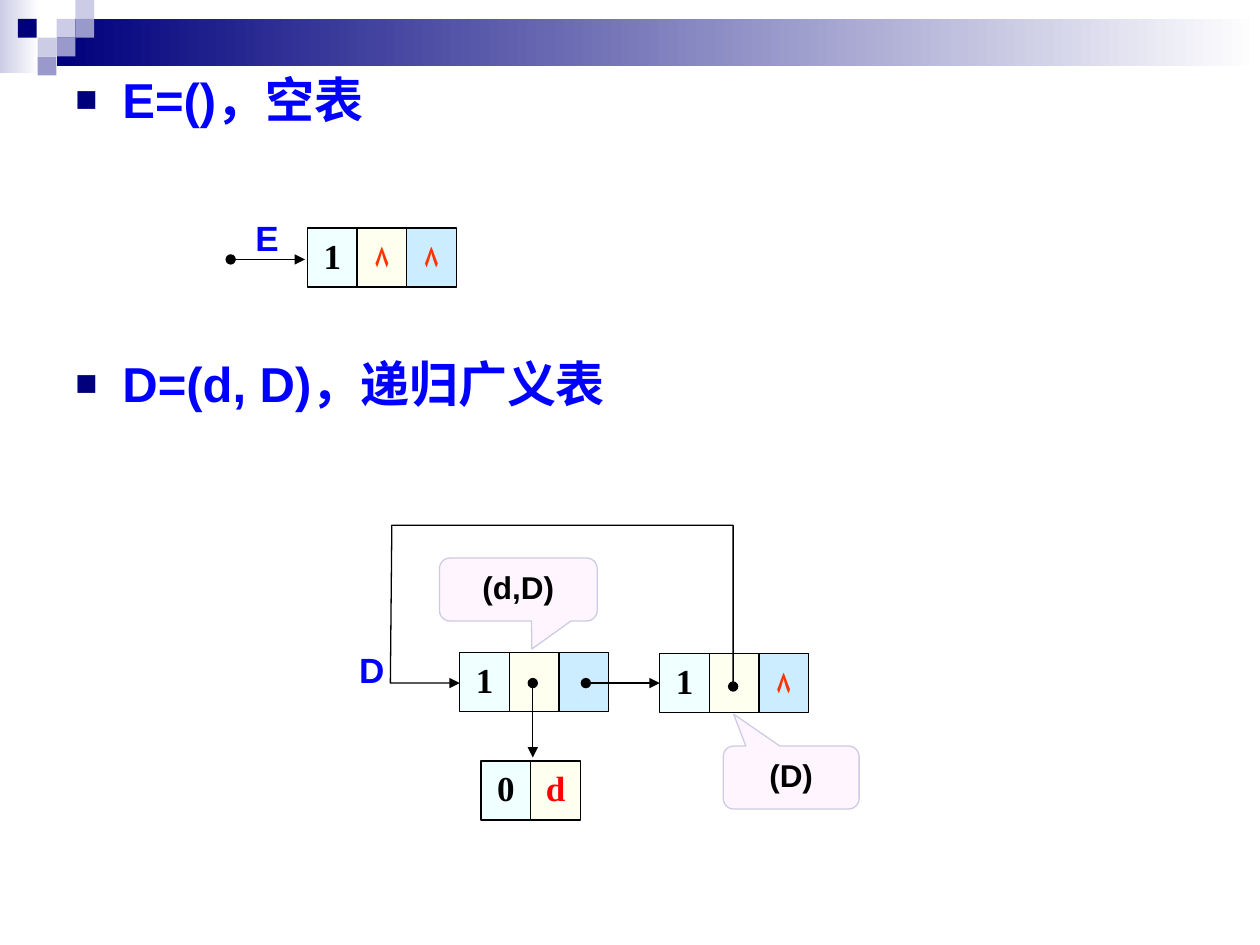
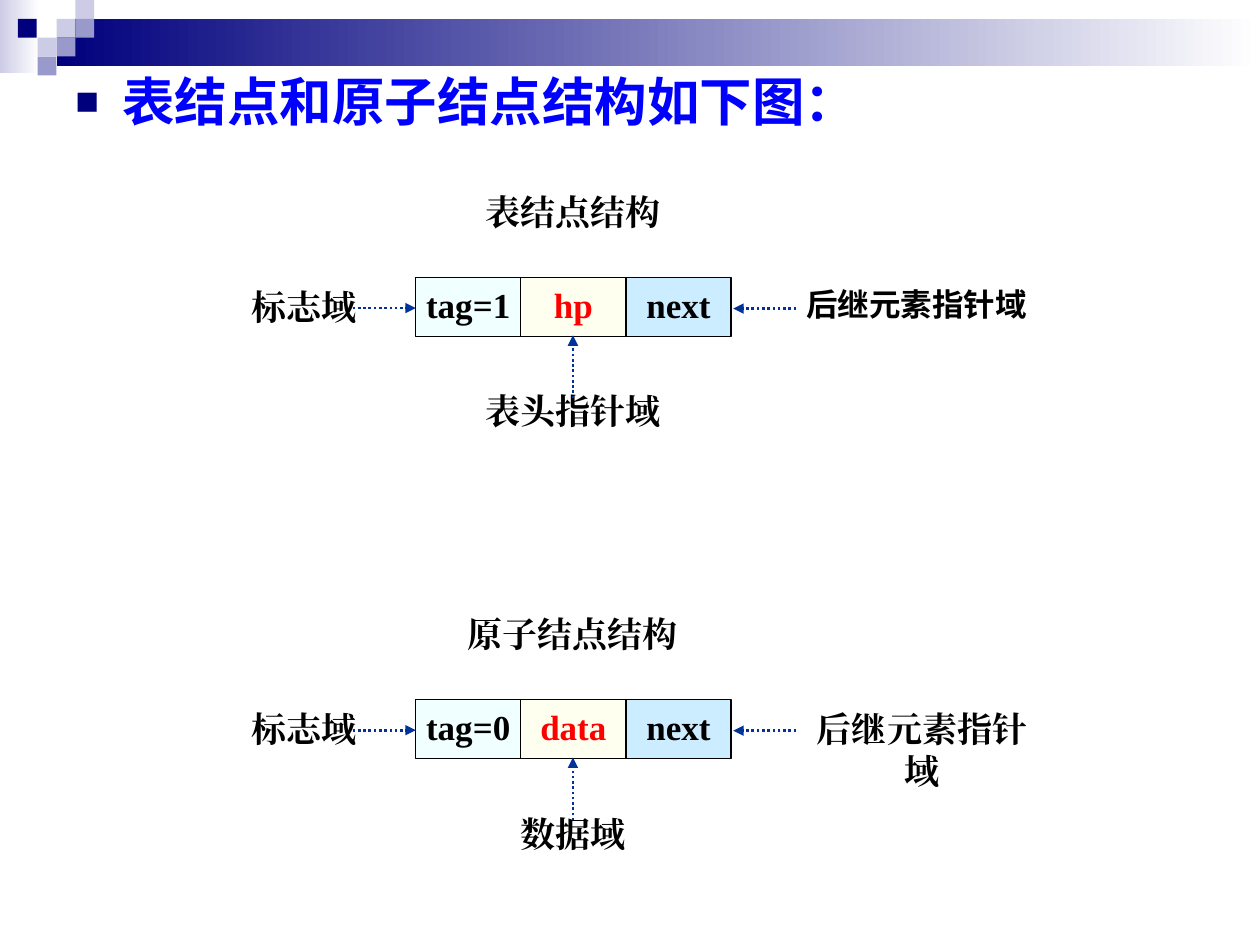
from lxml.etree import SubElement
from pptx import Presentation
from pptx.dml.color import RGBColor
from pptx.enum.dml import MSO_LINE
from pptx.enum.shapes import MSO_CONNECTOR, MSO_SHAPE
from pptx.enum.text import MSO_ANCHOR, PP_ALIGN
from pptx.oxml.ns import qn
from pptx.util import Cm, Pt

NAVY, LAVENDER, VIOLET, WHITE = "00007D", "CCCCE6", "9999CC", "FFFFFF"
BLUE, BLACK, RED, ORANGE, ARROW_BLUE = "0000FF", "000000", "FF0000", "FF3300", "003399"
CALLOUT_FILL = "FFF5FF"
CELL_FILLS = ["F0FFFF", "FFFFF0", "CCECFF"]
SANS, SERIF = "Arial", "Times New Roman"

BANDS = [(0, 0, 0.79, 1.47, LAVENDER), (1.14, 0.38, 24.26, 0.95, NAVY)]
SQUARE = 0.38
SQUARES = [
    (1.14, 0.38, LAVENDER), (1.52, 0, LAVENDER), (1.52, 0.38, VIOLET),
    (0.76, 0.76, LAVENDER), (0.36, 0.38, NAVY), (1.14, 0.76, VIOLET),
    (0.76, 1.14, VIOLET),
]

NIL = ("۸", ORANGE, 18, SANS)
ONE = ("1", BLACK, 20, SERIF)
ZERO = ("0", BLACK, 20, SERIF)
ATOM = ("d", RED, 20, SERIF)
CELL_HEIGHT = 1.19
LIST_CELL = 1.0
LIST_HEADINGS = [("E=()，空表", 1.27), ("D=(d, D)，递归广义表", 7)]
LIST_NODES = [
    (6.2, 4.6, [ONE, NIL, NIL]),
    (9.27, 13.16, [ONE, None, None]),
    (9.7, 15.34, [ZERO, ATOM]),
    (13.3, 13.18, [ONE, None, NIL]),
]
LIST_POINTERS = [
    (4.65, 5.23, 6.15, 5.23),
    (10.74, 13.77, 10.74, 15.27),
    (11.81, 13.77, 13.3, 13.77),
]
LOOP = [(14.78, 13.84), (14.78, 10.59), (7.9, 10.59), (7.87, 13.77), (9.27, 13.77)]
CALLOUTS = [
    ("(d,D)", 8.86, 11.25, 3.18, (0.086, 0.944, 0.167)),
    ("(D)", 14.58, 15.04, 2.74, (-0.423, -1.007, 0.167)),
]
LIST_NAMES = [("E", 4.9, 4.24), ("D", 6.99, 12.95)]

FIELD_HEADING = "表结点和原子结点结构如下图："
FIELD_CELL, FIELD_LEFT, FIELD_CENTER = 2.12, 8.38, 11.55
FIELD_NODES = [
    (5.59, "表结点结构", ["tag=1", "hp", "next"], "表头指针域", (18.48, 18, SANS)),
    (14.1, "原子结点结构", ["tag=0", "data", "next"], "数据域", (18.59, 20, SERIF)),
]


def color(value):
    return RGBColor.from_string(value)


def add_text(shape, text, size, font_name, fill, align=PP_ALIGN.CENTER,
             insets=(0.25, 0.13, 0.25, 0.13), anchor=MSO_ANCHOR.TOP, wrap=False):
    frame = shape.text_frame
    frame.word_wrap = wrap
    frame.vertical_anchor = anchor
    frame.margin_left, frame.margin_top, frame.margin_right, frame.margin_bottom = map(Cm, insets)
    paragraph = frame.paragraphs[0]
    paragraph.alignment = align
    run = paragraph.add_run()
    run.text = text
    run.font.size = Pt(size)
    run.font.bold = True
    run.font.color.rgb = color(fill)
    run.font.name = font_name
    for tag in ("a:ea", "a:cs"):
        SubElement(run.font._element, qn(tag), typeface=font_name)
    return paragraph


def add_box(slide, left, top, width, height, fill, line=None, kind=MSO_SHAPE.RECTANGLE):
    shape = slide.shapes.add_shape(kind, Cm(left), Cm(top), Cm(width), Cm(height))
    shape.shadow.inherit = False
    shape.fill.solid()
    shape.fill.fore_color.rgb = color(fill)
    if line:
        shape.line.color.rgb = color(line)
        shape.line.width = Pt(0.75)
    else:
        shape.line.fill.background()
    return shape


def add_textbox(slide, left, top, width, height):
    return slide.shapes.add_textbox(Cm(left), Cm(top), Cm(width), Cm(height))


def add_slide(presentation):
    slide = presentation.slides.add_slide(presentation.slide_layouts[6])
    for left, top, width, height, start in BANDS:
        band = add_box(slide, left, top, width, height, start)
        band.fill.gradient()
        band.fill.gradient_angle = 0
        for stop, value in zip(band.fill.gradient_stops, (start, WHITE)):
            stop.color.rgb = color(value)
    for left, top, fill in SQUARES:
        add_box(slide, left, top, SQUARE, SQUARE, fill)
    return slide


def add_heading(slide, text, top, size):
    box = add_textbox(slide, 1.27, top, 22.86, 1.7)
    paragraph = add_text(box, text, size, SANS, BLUE, PP_ALIGN.LEFT, wrap=True)
    properties = paragraph._p.get_or_add_pPr()
    properties.set("marL", str(Cm(0.95)))
    properties.set("indent", str(Cm(-0.95)))
    bullet_color = SubElement(properties, qn("a:buClr"))
    SubElement(bullet_color, qn("a:srgbClr"), val=NAVY)
    SubElement(properties, qn("a:buSzPct"), val="75000")
    SubElement(properties, qn("a:buFont"), typeface=SANS)
    SubElement(properties, qn("a:buChar"), char="■")


def add_node(slide, left, top, cell_width, cells):
    for index, (cell, fill) in enumerate(zip(cells, CELL_FILLS)):
        box = add_box(slide, left + index * cell_width, top, cell_width, CELL_HEIGHT, fill, BLACK)
        if cell:
            text, text_color, size, font_name = cell
            add_text(box, text, size, font_name, text_color,
                     insets=(0.25, 0.03, 0.25, 0.13), anchor=MSO_ANCHOR.MIDDLE)


def style_arrow(shape, fill, width, dotted=False):
    line = shape.line
    line.color.rgb = color(fill)
    line.width = Pt(width)
    if dotted:
        line.dash_style = MSO_LINE.ROUND_DOT
    outline = line._get_or_add_ln()
    if not dotted:
        SubElement(outline, qn("a:headEnd"), type="oval")
    SubElement(outline, qn("a:tailEnd"), type="triangle")


def add_arrow(slide, points, fill, width, dotted=False):
    connector = slide.shapes.add_connector(MSO_CONNECTOR.STRAIGHT, *map(Cm, points))
    style_arrow(connector, fill, width, dotted)
    SubElement(connector._element.spPr, qn("a:effectLst"))


def add_loop(slide, points):
    start, *others = [(Cm(x), Cm(y)) for x, y in points]
    builder = slide.shapes.build_freeform(*start)
    builder.add_line_segments(others, close=False)
    shape = builder.convert_to_shape()
    shape.shadow.inherit = False
    shape.fill.background()
    style_arrow(shape, BLACK, 0.75)


def add_callout(slide, text, left, top, width, adjustments):
    shape = add_box(slide, left, top, width, 1.27, CALLOUT_FILL, LAVENDER,
                    MSO_SHAPE.ROUNDED_RECTANGULAR_CALLOUT)
    for index, value in enumerate(adjustments):
        shape.adjustments[index] = value
    add_text(shape, text, 18, SANS, BLACK, wrap=True)


def add_label(slide, text, center, top, size=20, font_name=SERIF):
    width = 5.3
    box = add_textbox(slide, center - width / 2, top, width, 1.02)
    add_text(box, text, size, font_name, BLACK, insets=(0.25, 0.03, 0.25, 0.13), wrap=True)


def build_list_slide(presentation):
    slide = add_slide(presentation)
    for text, top in LIST_HEADINGS:
        add_heading(slide, text, top, 28)
    for left, top, cells in LIST_NODES:
        add_node(slide, left, top, LIST_CELL, cells)
    for points in LIST_POINTERS:
        add_arrow(slide, points, BLACK, 0.75)
    for callout in CALLOUTS:
        add_callout(slide, *callout)
    for text, left, top in LIST_NAMES:
        add_text(add_textbox(slide, left, top, 1.0, 1.12), text, 20, SANS, BLUE, PP_ALIGN.LEFT)
    add_loop(slide, LOOP)


def build_field_slide(presentation):
    slide = add_slide(presentation)
    add_heading(slide, FIELD_HEADING, 1.27, 30)
    right = FIELD_LEFT + 3 * FIELD_CELL
    for top, title, fields, middle_label, (next_center, next_size, next_font) in FIELD_NODES:
        cells = [(text, text_color, 20, SERIF)
                 for text, text_color in zip(fields, (BLACK, RED, BLACK))]
        add_node(slide, FIELD_LEFT, top, FIELD_CELL, cells)
        add_label(slide, title, FIELD_CENTER, top - 1.78)
        add_label(slide, "标志域", 6.13, top + 0.13)
        add_label(slide, middle_label, FIELD_CENTER, top + 2.24)
        add_label(slide, "后继元素指针域", next_center, top + 0.13, next_size, next_font)
        for points in [
            (FIELD_LEFT - 1.27, top + 0.62, FIELD_LEFT, top + 0.62),
            (right + 1.31, top + 0.63, right + 0.04, top + 0.63),
            (FIELD_CENTER, top + 2.44, FIELD_CENTER, top + 1.17),
        ]:
            add_arrow(slide, points, ARROW_BLUE, 1.5, dotted=True)


def main():
    presentation = Presentation()
    presentation.slide_width, presentation.slide_height = Cm(25.4), Cm(19.05)
    build_list_slide(presentation)
    build_field_slide(presentation)
    presentation.save("out.pptx")


if __name__ == "__main__":
    main()
